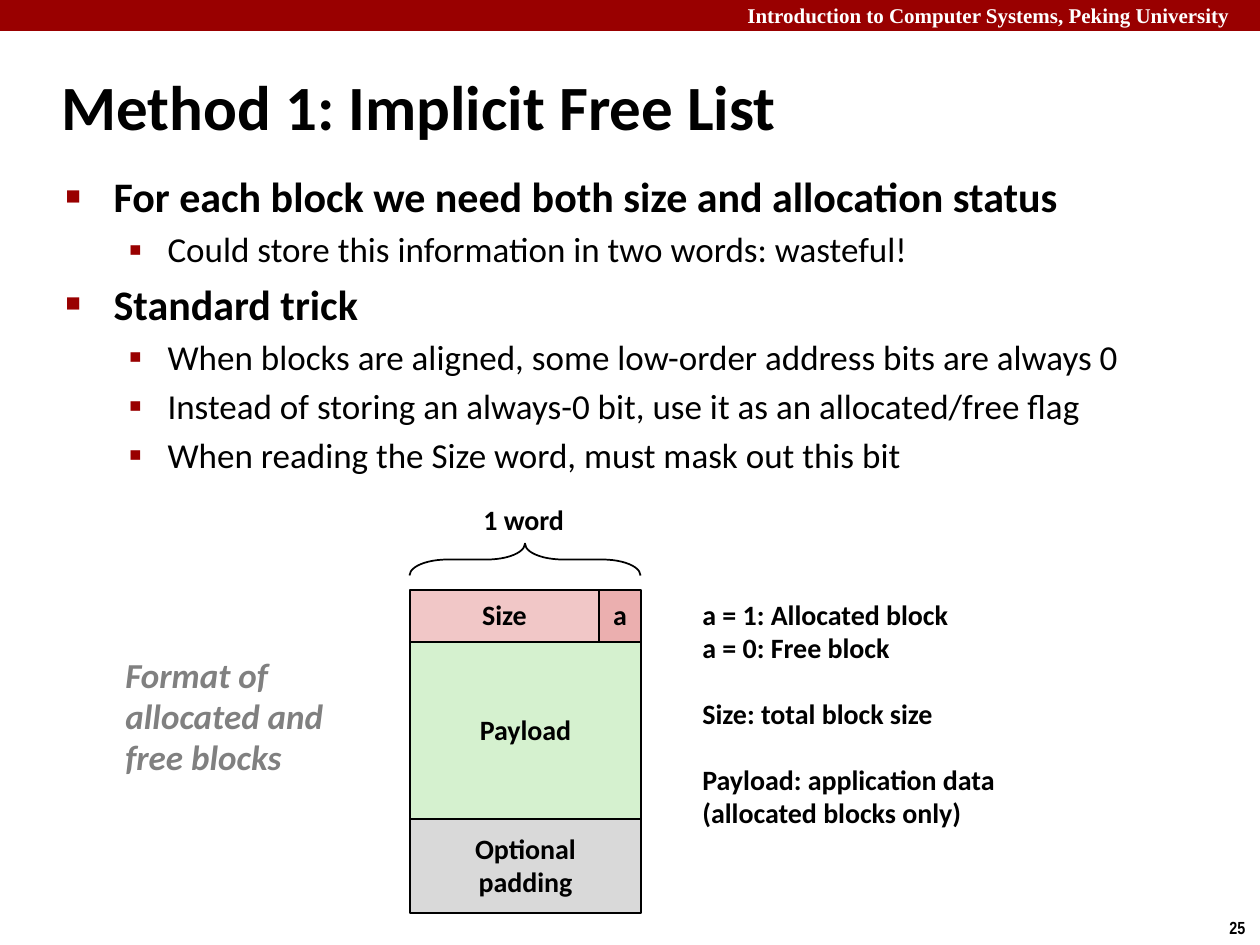
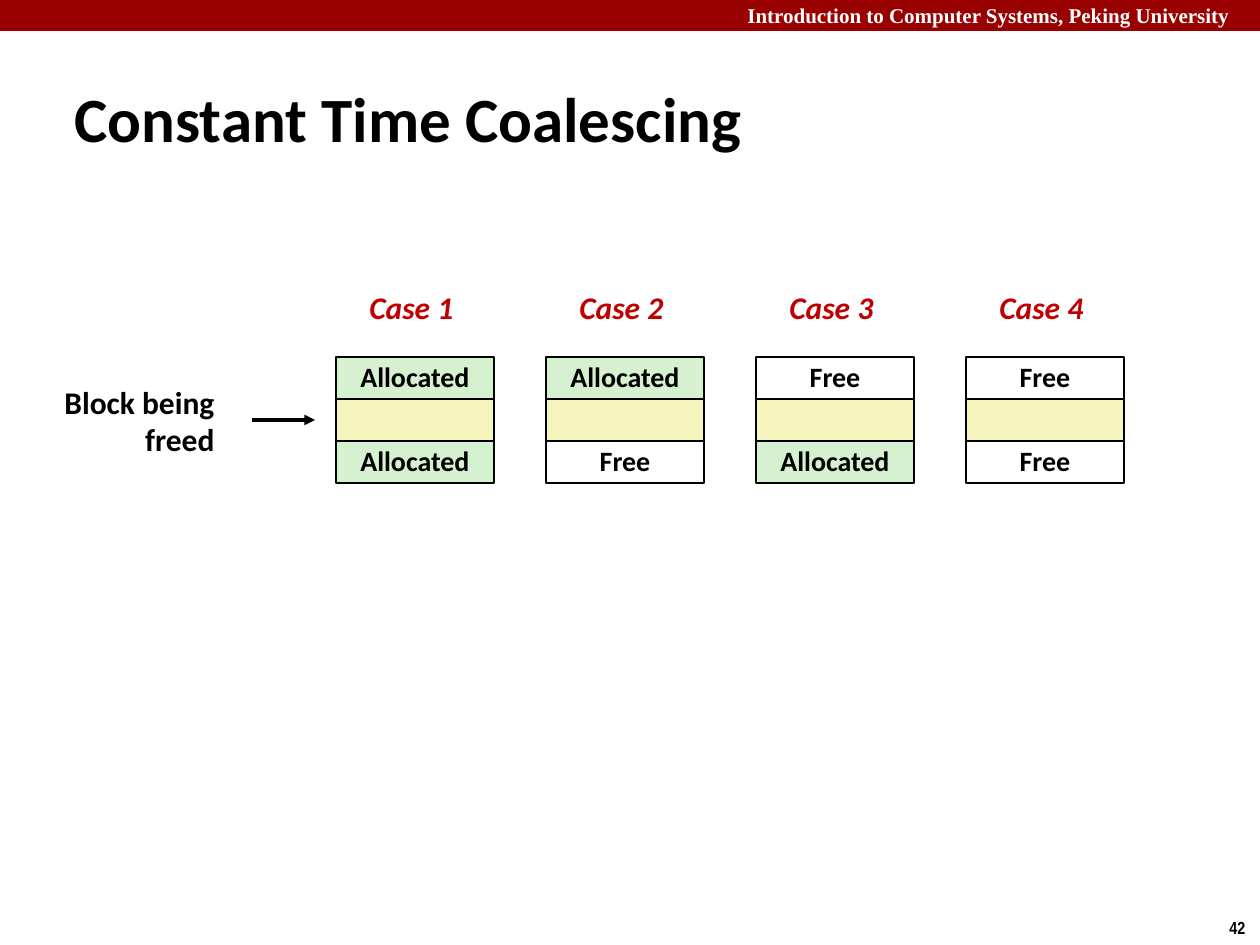
from lxml.etree import SubElement
from pptx import Presentation
from pptx.dml.color import RGBColor
from pptx.enum.shapes import MSO_CONNECTOR as Link, MSO_SHAPE as Kind
from pptx.enum.text import MSO_ANCHOR as Anchor, MSO_AUTO_SIZE as Fit, PP_ALIGN as Align
from pptx.oxml.ns import qn
from pptx.util import Pt

PX = 914400 / 126
WIDE, HIGH = 1260, 945
RED, BLACK, WHITE = "990000", "000000", "FFFFFF"
GREEN, YELLOW = "D5F1CF", "F6F5BD"
COURSE = "Introduction to Computer Systems, Peking University"

HEAD = dict(size=24, gap=4.8, bullet=("■", 60, 48, -48))
ITEM = dict(size=20, gap=4, bold=False, level=1, bullet=("▪", 110, 102, -39))
POINTS = [
    ("For each block we need both size and allocation status", {**HEAD, "gap": 0}),
    ("Could store this information in two words: wasteful!", ITEM),
    ("Standard trick", HEAD),
    ("When blocks are aligned, some low-order address bits are always 0", ITEM),
    ("Instead of storing an always-0 bit, use it as an allocated/free flag", ITEM),
    ("When reading the Size word, must mask out this bit", ITEM),
]
# Each row of the block: height, then its cells as (lines, width, fill)
BLOCK = [
    (52, [(["Size"], 189, "F1C7C7"), (["a"], 42, "EBAFAF")]),
    (177, [(["Payload"], 231, GREEN)]),
    (94, [(["Optional", "padding"], 231, "D9D9D9")]),
]
FORMAT = ["Format of", "allocated and", "free blocks"]
APART = dict(gap=19)
LEGEND = [
    "a = 1: Allocated block",
    "a = 0: Free block",
    ("Size: total block size", APART),
    ("Payload: application data", APART),
    "(allocated blocks only)",
]
# Neighbours before and after the freed block
CASES = [
    ("Allocated", "Allocated"),
    ("Allocated", "Free"),
    ("Free", "Allocated"),
    ("Free", "Free"),
]
FILLS = {"Allocated": GREEN, "Free": WHITE, "": YELLOW}


def px(*nums):
    return [round(n * PX) for n in nums]


def rgb(code):
    return RGBColor.from_string(code)


def mark(par, sign, size, left, hang):
    """Give a paragraph a red bullet and a hanging indent."""
    props = par._p.get_or_add_pPr()
    left, hang = px(left, hang)
    props.set("marL", str(left))
    props.set("indent", str(hang))
    color = SubElement(props, qn("a:buClr"))
    SubElement(color, qn("a:srgbClr"), val=RED)
    SubElement(props, qn("a:buSzPct"), val=str(size * 1000))
    SubElement(props, qn("a:buChar"), char=sign)


def style(par, text, size=16, font="Calibri", color=BLACK, bold=True, italic=False,
          align=Align.LEFT, lead=0.98, gap=0, level=0, bullet=None):
    par.text = text
    par.level = level
    if bullet:
        mark(par, *bullet)
    par.alignment = align
    par.line_spacing = lead
    par.space_before = Pt(gap)
    face = par.font
    face.name, face.size = font, Pt(size)
    face.bold, face.italic = bold, italic
    face.color.rgb = rgb(color)


def write(shape, lines, wrap=False, fit=Fit.NONE, anchor=Anchor.TOP, **look):
    """Fill a shape; a line is a string or a (string, format) pair."""
    frame = shape.text_frame
    frame.word_wrap, frame.auto_size = wrap, fit
    frame.vertical_anchor = anchor
    for i, line in enumerate(lines):
        text, own = (line, {}) if isinstance(line, str) else line
        par = frame.add_paragraph() if i else frame.paragraphs[0]
        style(par, text, **{**look, **own})


def label(slide, box, lines, fit=Fit.SHAPE_TO_FIT_TEXT, **look):
    write(slide.shapes.add_textbox(*px(*box)), lines, fit=fit, **look)


def draw(slide, kind, box, fill=None, line=BLACK):
    shape = slide.shapes.add_shape(kind, *px(*box))
    shape.shadow.inherit = False
    if fill:
        shape.fill.solid()
        shape.fill.fore_color.rgb = rgb(fill)
    else:
        shape.fill.background()
    if line:
        shape.line.color.rgb = rgb(line)
        shape.line.width = Pt(1)
    else:
        shape.line.fill.background()
    return shape


def cell(slide, box, lines, fill):
    shape = draw(slide, Kind.RECTANGLE, box, fill)
    if any(lines):
        write(shape, lines, anchor=Anchor.MIDDLE, align=Align.CENTER)


def arrow(slide, *ends):
    link = slide.shapes.add_connector(Link.STRAIGHT, *px(*ends))
    link.line.color.rgb = rgb(BLACK)
    link.line.width = Pt(2)
    SubElement(link.line._get_or_add_ln(), qn("a:tailEnd"), type="triangle")
    SubElement(link._element.spPr, qn("a:effectLst"))


def place(shape, box):
    shape.left, shape.top, shape.width, shape.height = px(*box)


def start(deck, layout, title, box, number):
    """Add a slide with the shared band, title and page number."""
    slide = deck.slides.add_slide(deck.slide_layouts[layout])
    draw(slide, Kind.RECTANGLE, (0, 0, WIDE, 31), RED, None)
    label(slide, (735, -4, 525, 38), [COURSE], wrap=True, size=12,
          font="Times New Roman", color=WHITE, lead=1)
    label(slide, (1217, 911, 43, 34), [number], size=10, font="Arial Narrow", lead=1)
    place(slide.shapes.title, box)
    write(slide.shapes.title, [title], wrap=True, anchor=Anchor.MIDDLE, size=36, lead=1)
    return slide


def implicit(deck):
    slide = start(deck, 1, "Method 1: Implicit Free List", (49, 66, 908, 79), "25")
    body = slide.placeholders[1]
    place(body, (53, 164, 1138, 297))
    write(body, POINTS, wrap=True, lead=1)

    left, top = 410, 590
    for high, cells in BLOCK:
        x = left
        for lines, wide, fill in cells:
            cell(slide, (x, top, wide, high), lines, fill)
            x += wide
        top += high

    label(slide, (471, 498, 107, 47), ["1 word"])
    label(slide, (113, 649, 224, 137), FORMAT, size=20, color="808080", italic=True)
    label(slide, (690, 593, 321, 280), LEGEND)
    brace = draw(slide, Kind.RIGHT_BRACE, (509, 444, 32, 231))
    brace.rotation = 270
    brace.adjustments[0] = 1.19


def coalesce(deck):
    slide = start(deck, 5, "Constant Time Coalescing", (62, 78, 968, 79), "42")
    left, top, wide, high, step = 336, 357, 158, 42, 210
    for i, (before, after) in enumerate(CASES):
        x = left + i * step
        for j, state in enumerate((before, "", after)):
            cell(slide, (x, top + j * high, wide, high), [state], FILLS[state])
        label(slide, (x + 21, 284, 110, 50), [f"Case {i + 1}"],
              size=18, color="C00000", italic=True)
    label(slide, (50, 379, 177, 88), ["Block being", "freed"], size=18, align=Align.RIGHT)
    arrow(slide, 252, 420, 315, 420)


def main():
    deck = Presentation()
    deck.slide_width, deck.slide_height = px(WIDE, HIGH)
    implicit(deck)
    coalesce(deck)
    deck.save("out.pptx")


if __name__ == "__main__":
    main()
